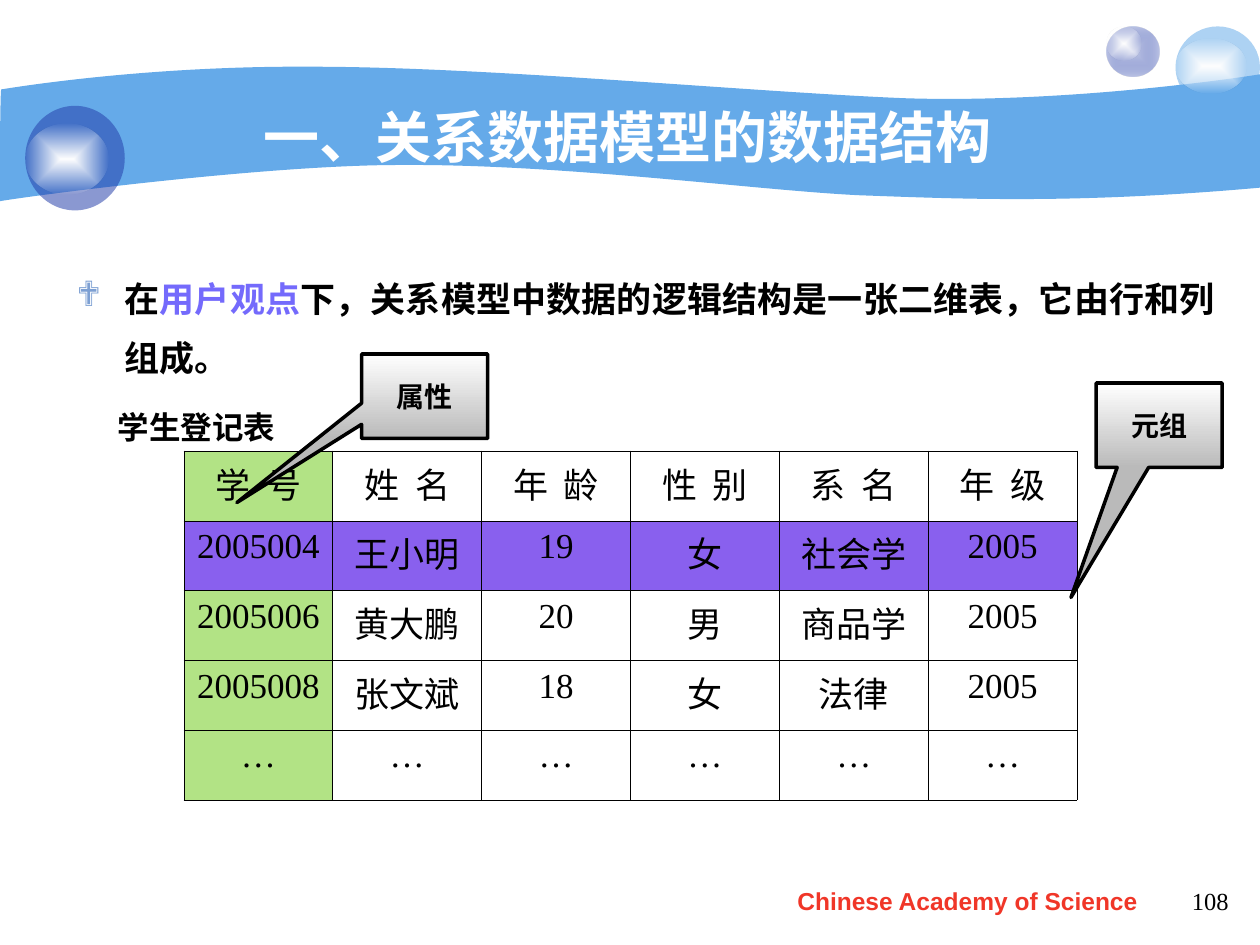
from dataclasses import dataclass

from lxml import etree
from pptx import Presentation
from pptx.dml.color import RGBColor
from pptx.enum.shapes import MSO_SHAPE
from pptx.enum.text import MSO_ANCHOR, PP_ALIGN
from pptx.oxml import parse_xml
from pptx.oxml.ns import qn
from pptx.util import Emu, Pt

SCALE = 9144
NS = 'xmlns:a="http://schemas.openxmlformats.org/drawingml/2006/main"'
TIMES = "Times New Roman"
BLACK, GREEN, PURPLE = "000000", "B2E385", "8960EE"


@dataclass
class Box:
    left: int
    top: int
    width: int
    height: int

    def emu(self) -> tuple:
        return tuple(px(n) for n in (self.left, self.top, self.width, self.height))


@dataclass
class Stop:
    color: str
    alpha: int = 100


@dataclass
class Run:
    text: str
    size: int
    color: str = BLACK
    font: str = TIMES
    bold: bool = True


@dataclass
class Ball:
    box: Box
    stops: tuple


@dataclass
class Callout:
    box: Box
    tip: tuple
    text: str


@dataclass
class Label:
    box: Box
    runs: tuple
    align: PP_ALIGN = PP_ALIGN.CENTER
    anchor: MSO_ANCHOR = MSO_ANCHOR.TOP
    wrap: bool = True


SHINE = (Stop("FFFFFF"), Stop("FEFEFE", 0))
BALLS = (
    Ball(Box(878, 21, 42, 40), (Stop("C6CCE8"), Stop("233DA9", 31))),
    Ball(Box(878, 21, 28, 27), SHINE),
    Ball(Box(933, 21, 67, 65), (Stop("65AAE9", 53),)),
    Ball(Box(933, 31, 56, 43), SHINE),
    Ball(Box(20, 84, 79, 83), (Stop("233DA9", 53),)),
    Ball(Box(20, 98, 66, 56), SHINE),
)
START = (1, 71)
UPPER = ((2, 71), (110, 52), (248, 53), (386, 53), (595, 73), (718, 78),
         (841, 82), (976, 63), (1000, 59))
CORNER = (1000, 149)
LOWER = ((853, 162), (765, 158), (682, 155), (599, 151), (447, 130), (317, 131),
         (203, 131), (-2, 159), (-1, 160), (0, 160), (0, 71), START)
ROWS = (
    ("学  号", "姓  名", "年  龄", "性  别", "系  名", "年  级"),
    ("2005004", "王小明", "19", "女", "社会学", "2005"),
    ("2005006", "黄大鹏", "20", "男", "商品学", "2005"),
    ("2005008", "张文斌", "18", "女", "法律", "2005"),
    ("…",) * 6,
)
TITLE = Label(Box(100, 75, 808, 62), (
    Run("一、关系数据模型的数据结构", 32, "FFFFFF", "Arial"),
    Run(" ", 36, "FFFFFF", "Arial"),
), anchor=MSO_ANCHOR.MIDDLE)
BODY = Label(Box(51, 202, 923, 110), (
    Run("在", 20, font="Arial"),
    Run("用户观点", 20, "746AFC", "Arial"),
    Run("下，关系模型中数据的逻辑结构是一张二维表，它由行和列组成。", 20, font="Arial"),
), PP_ALIGN.JUSTIFY)
CAPTION = Label(Box(46, 319, 220, 40), (Run("学生登记表", 18),), wrap=False)
FOOTER = (
    Label(Box(571, 698, 394, 35),
          (Run("Chinese Academy of Science", 14, "F03628", "Arial"),)),
    Label(Box(752, 698, 233, 52), (Run("108", 14, bold=False),), PP_ALIGN.RIGHT),
)
CALLOUTS = (
    Callout(Box(287, 281, 100, 67), (-1.49, 1.26), "属性"),
    Callout(Box(870, 304, 100, 67), (-0.7, 2.04), "元组"),
)


def px(count: int) -> Emu:
    return Emu(count * SCALE)


def tint(color: str) -> RGBColor:
    return RGBColor.from_string(color)


def paint(shape, stops: tuple, shade: str) -> None:
    inks = [f'<a:srgbClr val="{s.color}"><a:alpha val="{s.alpha * 1000}"/></a:srgbClr>'
            for s in stops]
    if len(inks) == 1:
        xml = f"<a:solidFill {NS}>{inks[0]}</a:solidFill>"
    else:
        marks = "".join(f'<a:gs pos="{i * 100000}">{ink}</a:gs>'
                        for i, ink in enumerate(inks))
        xml = f"<a:gradFill {NS}><a:gsLst>{marks}</a:gsLst>{shade}</a:gradFill>"
    shape.fill.solid()
    props = shape.element.spPr
    props.replace(props.find(qn("a:solidFill")), parse_xml(xml))


def write(frame, runs: tuple, align: PP_ALIGN) -> None:
    para = frame.paragraphs[0]
    para.alignment = align
    for run in runs:
        part = para.add_run()
        part.text = run.text
        font = part.font
        font.size, font.name, font.bold = Pt(run.size), run.font, run.bold
        font.color.rgb = tint(run.color)


def bend(lines: list) -> None:
    for i in range(0, len(lines), 3):
        curve = etree.Element(qn("a:cubicBezTo"))
        lines[i].addprevious(curve)
        for line in lines[i:i + 3]:
            curve.append(line[0])
            line.getparent().remove(line)


def draw_wave(slide) -> None:
    pen = slide.shapes.build_freeform(*START, scale=SCALE)
    pen.add_line_segments((*UPPER, CORNER, *LOWER), close=True)
    wave = pen.convert_to_shape()
    lines = list(wave.element.spPr.iter(qn("a:lnTo")))
    bend(lines[:len(UPPER)])
    bend(lines[len(UPPER) + 1:])
    wave.shadow.inherit = False
    wave.fill.solid()
    wave.fill.fore_color.rgb = tint("65AAE9")
    wave.line.fill.background()


def draw_ball(slide, ball: Ball) -> None:
    shape = slide.shapes.add_shape(MSO_SHAPE.OVAL, *ball.box.emu())
    shape.shadow.inherit = False
    shape.line.fill.background()
    paint(shape, ball.stops, '<a:path path="rect"><a:fillToRect l="50000" t="50000" '
                             'r="50000" b="50000"/></a:path>')


def draw_label(slide, label: Label):
    frame = slide.shapes.add_textbox(*label.box.emu()).text_frame
    frame.word_wrap = label.wrap
    frame.vertical_anchor = label.anchor
    write(frame, label.runs, label.align)
    return frame.paragraphs[0]


def draw_body(slide) -> None:
    para = draw_label(slide, BODY)
    para.line_spacing = 1.4
    props = para._p.get_or_add_pPr()
    props.set("marL", str(px(38)))
    props.set("indent", str(px(-38)))
    color = etree.SubElement(props, qn("a:buClr"))
    etree.SubElement(color, qn("a:srgbClr"), val="7DA0D3")
    etree.SubElement(props, qn("a:buFont"), typeface="Wingdings", charset="2")
    etree.SubElement(props, qn("a:buChar"), char="❖")


def draw_table(slide) -> None:
    table = slide.shapes.add_table(len(ROWS), len(ROWS[0]),
                                   *Box(146, 358, 709, 277).emu()).table
    for i, row in enumerate(ROWS):
        for j, text in enumerate(row):
            cell = table.cell(i, j)
            write(cell.text_frame, (Run(text, 20, bold=False),), PP_ALIGN.CENTER)
            color = PURPLE if i == 1 else GREEN if j == 0 else None
            if color:
                cell.fill.solid()
                cell.fill.fore_color.rgb = tint(color)
            else:
                cell.fill.background()
            props = cell._tc.get_or_add_tcPr()
            for k, side in enumerate("LRTB"):
                props.insert(k, parse_xml(
                    f'<a:ln{side} {NS} w="{Pt(0.45)}"><a:solidFill>'
                    f'<a:srgbClr val="{BLACK}"/></a:solidFill></a:ln{side}>'))


def draw_callout(slide, call: Callout) -> None:
    shape = slide.shapes.add_shape(MSO_SHAPE.RECTANGULAR_CALLOUT, *call.box.emu())
    shape.shadow.inherit = False
    shape.adjustments[0], shape.adjustments[1] = call.tip
    paint(shape, (Stop("FFFFFF"), Stop("BABABA")), '<a:lin ang="5400000" scaled="0"/>')
    shape.line.color.rgb = tint(BLACK)
    shape.line.width = Pt(2)
    shape.text_frame.vertical_anchor = MSO_ANCHOR.MIDDLE
    write(shape.text_frame, (Run(call.text, 16),), PP_ALIGN.CENTER)


def main() -> None:
    """Build the slide on the relational data structure."""
    deck = Presentation()
    deck.slide_width, deck.slide_height = px(1000), px(750)
    slide = deck.slides.add_slide(deck.slide_layouts[6])
    draw_wave(slide)
    for ball in BALLS:
        draw_ball(slide, ball)
    draw_label(slide, TITLE)
    draw_body(slide)
    draw_table(slide)
    draw_label(slide, CAPTION)
    for call in CALLOUTS:
        draw_callout(slide, call)
    for note in FOOTER:
        draw_label(slide, note)
    deck.save("out.pptx")


if __name__ == "__main__":
    main()
